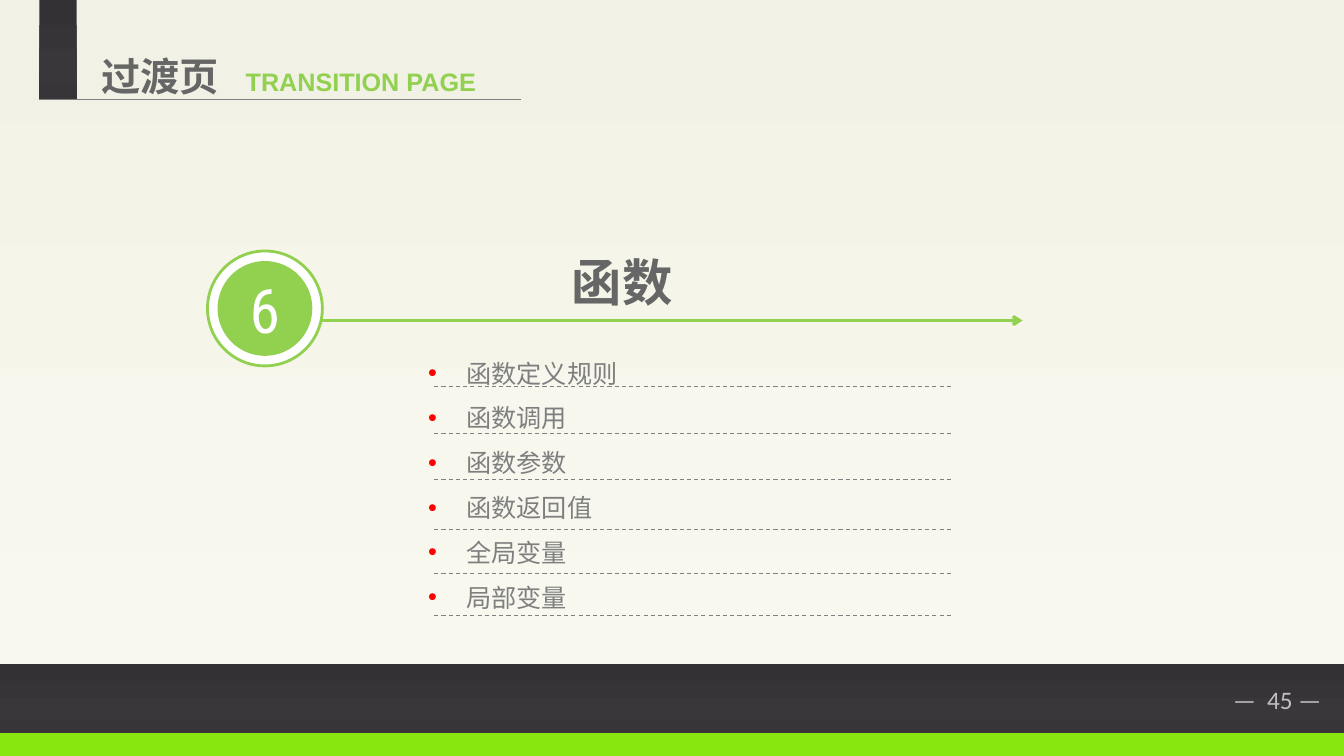
from lxml import etree
from pptx import Presentation
from pptx.dml.color import RGBColor
from pptx.enum.dml import MSO_LINE
from pptx.enum.shapes import MSO_CONNECTOR, MSO_SHAPE
from pptx.enum.text import MSO_ANCHOR, PP_ALIGN
from pptx.oxml.ns import qn
from pptx.util import Pt

PX = 9144  # EMU per px, 100 px to the inch
RECT, OVAL = MSO_SHAPE.RECTANGLE, MSO_SHAPE.OVAL
STRAIGHT, DASH = MSO_CONNECTOR.STRAIGHT, MSO_LINE.DASH
LEFT, CENTER = PP_ALIGN.LEFT, PP_ALIGN.CENTER
TOP, MIDDLE = MSO_ANCHOR.TOP, MSO_ANCHOR.MIDDLE
CJK = "Noto Sans CJK SC"

COLORS = {
    "green": "92D050", "lime": "88E70F", "white": "FFFFFF", "red": "FF0000",
    "heading": "666666", "body": "7F7F7F", "dashes": "808080", "page": "BFBFBF",
}
STOPS = (0, 74, 83, 100)
CREAM = ("F1F1E5", "F7F7ED", "F8F8EE", "F9F9EF")
CHARCOAL = ("333134", "39373A", "373538", "363436")


def rgb(name):
    return RGBColor.from_string(COLORS[name])


def set_font(paragraph, face, size, color, bold=False):
    """Format a paragraph, naming the face for East Asian text as well."""
    font = paragraph.font
    font.name, font.size, font.bold = face, Pt(size), bold
    font.color.rgb = rgb(color)
    defaults = paragraph._p.pPr.find(qn("a:defRPr"))
    etree.SubElement(defaults, qn("a:ea"), typeface=face)


prs = Presentation()
prs.slide_width, prs.slide_height = 1334 * PX, 750 * PX
slide = prs.slides.add_slide(prs.slide_layouts[5])
shapes = slide.shapes

# Backdrop, footer bands and the tab beside the title
for left, top, width, height, paint in (
    (0, 0, 1334, 659, CREAM),
    (0, 726, 1334, 24, "lime"),
    (0, 659, 1334, 68, CHARCOAL),
    (39, 0, 37, 99, CHARCOAL),
):
    band = shapes.add_shape(RECT, left * PX, top * PX, width * PX, height * PX)
    band.shadow.inherit = False
    band.line.fill.background()
    if paint == "lime":
        band.fill.solid()
        band.fill.fore_color.rgb = rgb(paint)
        continue
    band.fill.gradient()
    band.fill.gradient_angle = 270
    stop_list = band.element.spPr.find(".//" + qn("a:gsLst"))
    for stop in list(stop_list):
        stop_list.remove(stop)
    for position, shade in zip(STOPS, paint):
        stop = etree.SubElement(stop_list, qn("a:gs"), pos=str(position * 1000))
        etree.SubElement(stop, qn("a:srgbClr"), val=shade)

# Title, raised above the backdrop
title = shapes.title
band.element.addnext(title.element)
title.left, title.top, title.width, title.height = 91 * PX, 44 * PX, 159 * PX, 57 * PX
title.text_frame.text = "过渡页"
title.text_frame.vertical_anchor = TOP
heading = title.text_frame.paragraphs[0]
heading.alignment = LEFT
heading.line_spacing = Pt(36)
set_font(heading, CJK, 28, "heading", True)

# Rules and the arrow
dashed_rows = [(431, y, 944, "dashes", 0.75) for y in (383, 430, 476, 525, 569, 611)]
for start, y, end, color, weight in [
    (39, 99, 517, "body", 0.75),
    (320, 318, 1015, "green", 2.25),
    *dashed_rows,
]:
    rule = shapes.add_connector(STRAIGHT, start * PX, y * PX, end * PX, y * PX)
    rule.line.color.rgb = rgb(color)
    rule.line.width = Pt(weight)
    etree.SubElement(rule.element.spPr, qn("a:effectLst"))
    if color == "dashes":
        rule.line.dash_style = DASH
    elif color == "green":
        etree.SubElement(rule.line._get_or_add_ln(), qn("a:tailEnd"), type="arrow")

# Numbered badge
for left, top, size, color in ((206, 249, 114, "white"), (216, 259, 94, "green")):
    disc = shapes.add_shape(OVAL, left * PX, top * PX, size * PX, size * PX)
    disc.shadow.inherit = False
    disc.fill.solid()
    disc.fill.fore_color.rgb = rgb(color)
    if color == "white":
        disc.line.color.rgb = rgb("green")
        disc.line.width = Pt(2)
    else:
        disc.line.fill.background()
disc.text_frame.text = "6"
disc.text_frame.vertical_anchor = MIDDLE
number = disc.text_frame.paragraphs[0]
number.alignment = CENTER
set_font(number, "Roboto Condensed", 44, "white")

# Single-line texts
for text, left, top, width, height, face, size, color, bold, align in (
    ("—  45 —", 1214, 674, 119, 40, "Calibri", 18, "page", False, LEFT),
    ("TRANSITION PAGE", 234, 61, 268, 40, "Arial", 18, "green", True, LEFT),
    ("函数", 332, 239, 571, 71, CJK, 36, "heading", True, CENTER),
):
    label = shapes.add_textbox(left * PX, top * PX, width * PX, height * PX).text_frame
    label.word_wrap = color != "page"
    label.text = text
    line = label.paragraphs[0]
    line.alignment = align
    if face == CJK:
        line.line_spacing = Pt(47)
    set_font(line, face, size, color, bold)

# Topic list
topics = shapes.add_textbox(415 * PX, 344 * PX, 529 * PX, 270 * PX).text_frame
topics.word_wrap = True
topics.text = "函数定义规则\n函数调用\n函数参数\n函数返回值\n全局变量\n局部变量"
for index, topic in enumerate(topics.paragraphs):
    topic.line_spacing = Pt(26)
    if index:
        topic.space_before = Pt(6)
    props = topic._p.get_or_add_pPr()
    props.set("marL", str(38 * PX))
    props.set("indent", str(-38 * PX))
    bullet_color = etree.SubElement(props, qn("a:buClr"))
    etree.SubElement(bullet_color, qn("a:srgbClr"), val=COLORS["red"])
    etree.SubElement(props, qn("a:buFont"), typeface="Arial")
    etree.SubElement(props, qn("a:buChar"), char="•")
    set_font(topic, CJK, 18, "body")

prs.save("out.pptx")
